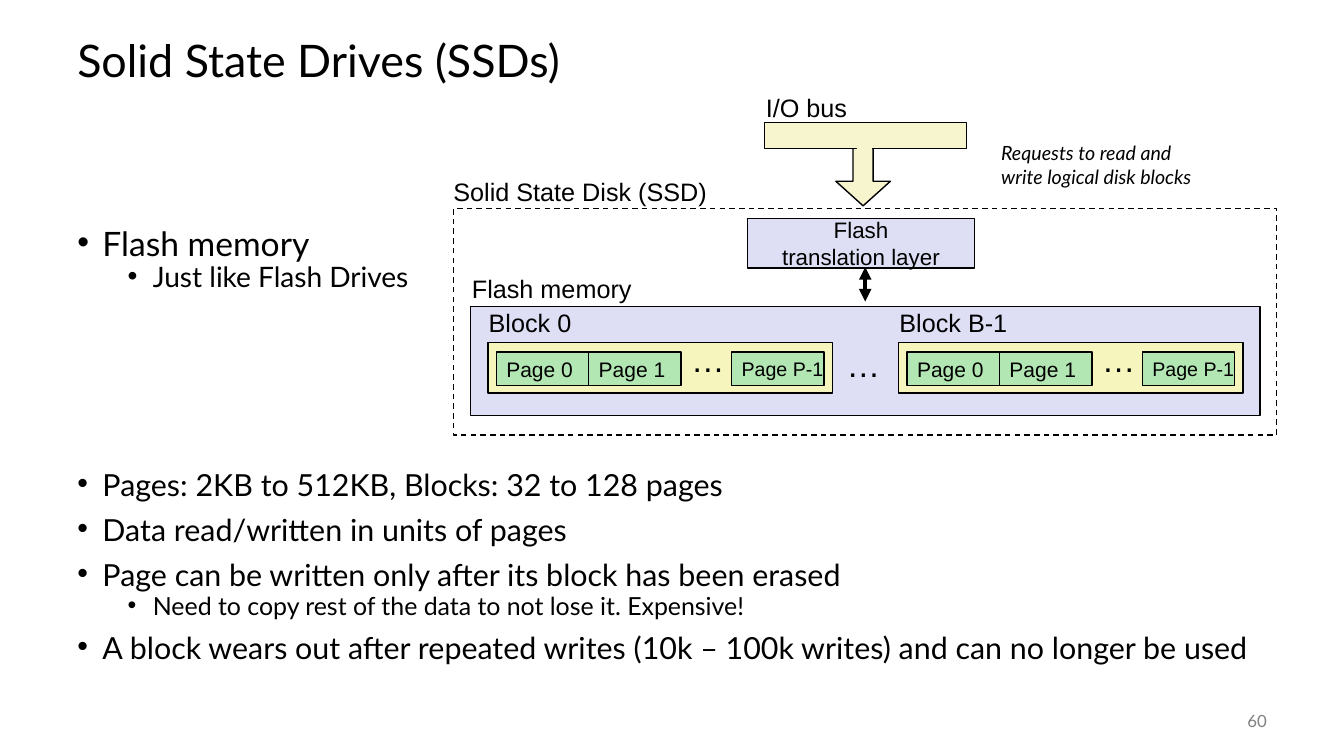
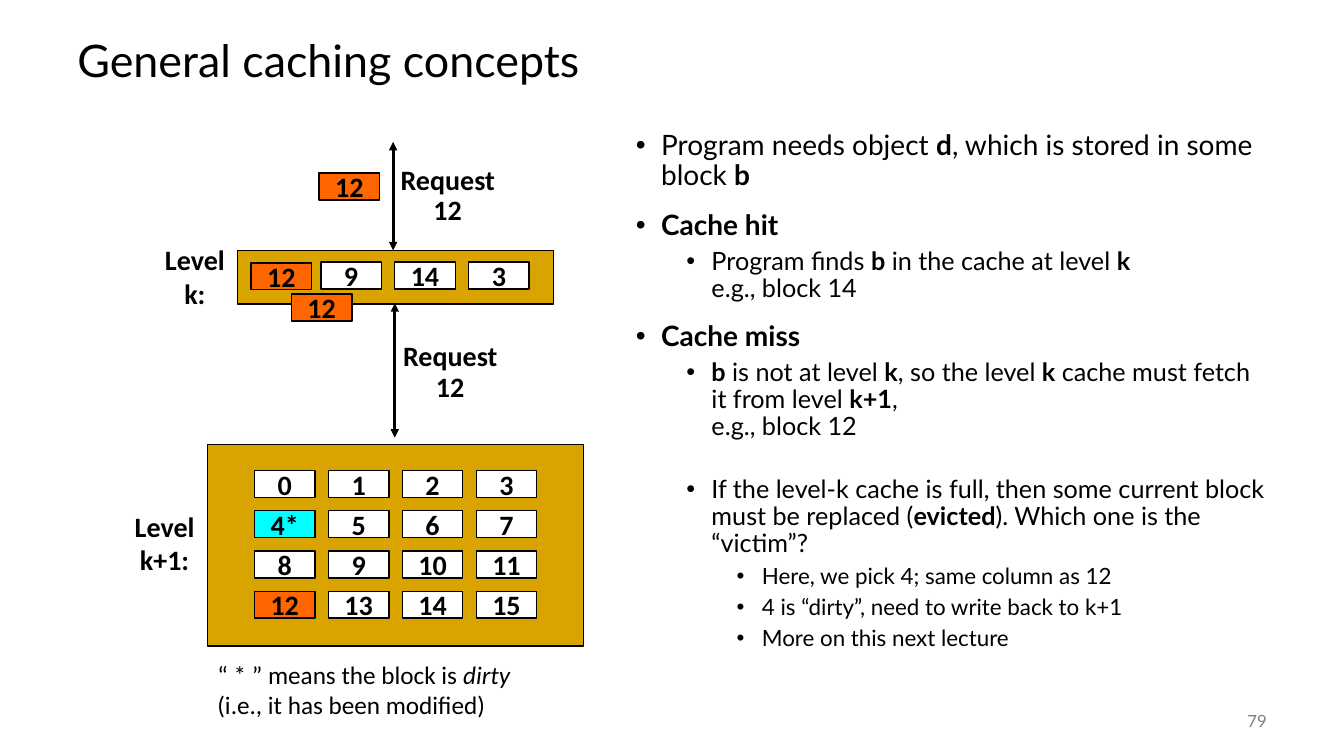
import pptx
import pptx.util
import pptx.dml.color
import pptx.enum.dml
import pptx.enum.shapes
import pptx.enum.text
import pptx.oxml.ns
import lxml.etree

RGBColor = pptx.dml.color.RGBColor
Shapes = pptx.enum.shapes.MSO_SHAPE
Align = pptx.enum.text.PP_ALIGN
Anchor = pptx.enum.text.MSO_ANCHOR
Pt = pptx.util.Pt

BLACK = RGBColor(0x00, 0x00, 0x00)
WHITE = RGBColor(0xFF, 0xFF, 0xFF)
GRAY = RGBColor(0x80, 0x80, 0x80)
LAVENDER = RGBColor(0xDE, 0xDF, 0xF5)
CREAM = RGBColor(0xF7, 0xF5, 0xCD)
YELLOW = RGBColor(0xF6, 0xF5, 0xBD)
GREEN = RGBColor(0xB2, 0xE6, 0xB2)
ORANGE = RGBColor(0xFF, 0x66, 0x00)
CYAN = RGBColor(0x00, 0xFF, 0xFF)
GOLD = RGBColor(0xD9, 0xA3, 0x00)

# The slide is a grid of 160 columns by 90 rows, each 1/12 inch.
COLUMNS, ROWS = 160, 90
SLIDE_WIDTH, SLIDE_HEIGHT = pptx.util.Inches(13.33), pptx.util.Inches(7.5)

TITLE_AREA = (8, 3, 144, 9)
NUMBER_AREA = (140, 83.4, 12, 4.8)
TILE_WIDTH, TILE_HEIGHT = 7.2, 3.2
TILE_PITCH_X, TILE_PITCH_Y = 8.8, 4.8

DIAGRAM = {"font": "Arial", "size": 18}
CACHE = {"font": "Calibri", "size": 20, "bold": True, "align": Align.CENTER}


def across(columns):
    return round(columns * SLIDE_WIDTH / COLUMNS)


def down(rows):
    return round(rows * SLIDE_HEIGHT / ROWS)


def grid_area(left, top, width, height):
    return across(left), down(top), across(width), down(height)


def add_element(parent, tag, **attributes):
    return lxml.etree.SubElement(parent, pptx.oxml.ns.qn(tag), attributes)


def write_paragraph(para, text, font="Lato", size=18, color=BLACK, bold=False,
                    italic=False, emphasis="bold", align=Align.LEFT, spacing=None):
    """Write one paragraph; parts between bars are emphasised, \\n breaks a line."""
    para.alignment = align
    if spacing:
        para.line_spacing = spacing
    for part_index, part in enumerate(text.split("|")):
        for line_index, line in enumerate(part.split("\n")):
            if line_index:
                para.add_line_break()
            if not line:
                continue
            span = para.add_run()
            span.text = line
            span.font.name = font
            span.font.size = Pt(size)
            span.font.color.rgb = color
            span.font.bold = bold
            span.font.italic = italic
            if part_index % 2:
                setattr(span.font, emphasis, True)


def next_paragraph(frame, index):
    return frame.add_paragraph() if index else frame.paragraphs[0]


def write_text(frame, lines, anchor=Anchor.TOP, wrap=False, inset=None, **text_format):
    frame.word_wrap = wrap
    frame.auto_size = pptx.enum.text.MSO_AUTO_SIZE.NONE
    frame.vertical_anchor = anchor
    if inset is not None:
        frame.margin_left = frame.margin_right = pptx.util.Inches(inset)
    for index, line in enumerate(lines):
        write_paragraph(next_paragraph(frame, index), line, **text_format)


def add_label(page, area, *lines, **text_format):
    box = page.shapes.add_textbox(*grid_area(*area))
    write_text(box.text_frame, lines, **text_format)


def add_box(page, area, fill=None, *lines, kind=Shapes.RECTANGLE, outline=True,
            dashed=False, **text_format):
    box = page.shapes.add_shape(kind, *grid_area(*area))
    box.shadow.inherit = False
    if fill is None:
        box.fill.background()
    else:
        box.fill.solid()
        box.fill.fore_color.rgb = fill
    if outline:
        box.line.color.rgb = BLACK
        box.line.width = Pt(1)
    else:
        box.line.fill.background()
    if dashed:
        box.line.dash_style = pptx.enum.dml.MSO_LINE.DASH
    if lines:
        write_text(box.text_frame, lines, anchor=Anchor.MIDDLE, **text_format)
    return box


def add_double_arrow(page, column, top, bottom, width):
    arrow = page.shapes.add_connector(
        pptx.enum.shapes.MSO_CONNECTOR.STRAIGHT,
        across(column), down(top), across(column), down(bottom))
    arrow.line.color.rgb = BLACK
    arrow.line.width = Pt(width)
    properties = arrow.element.spPr
    for end in ("a:headEnd", "a:tailEnd"):
        add_element(properties.find(pptx.oxml.ns.qn("a:ln")), end, type="triangle")
    add_element(properties, "a:effectLst")


def move(shape, area):
    shape.left, shape.top, shape.width, shape.height = grid_area(*area)


def add_page(deck, title, number):
    page = deck.slides.add_slide(deck.slide_layouts[1])
    move(page.shapes.title, TITLE_AREA)
    write_text(page.shapes.title.text_frame, [title], anchor=Anchor.MIDDLE,
               wrap=True, size=32, spacing=0.9)
    add_label(page, NUMBER_AREA, number, anchor=Anchor.MIDDLE, wrap=True,
              size=12, color=GRAY, align=Align.RIGHT)
    return page


def fill_body(page, area, bullets, spacing):
    """Fill the body with bullets given as level, size, space before and text."""
    body = page.placeholders[1]
    move(body, area)
    write_text(body.text_frame, [], wrap=True)
    for index, (level, size, before, text) in enumerate(bullets):
        para = next_paragraph(body.text_frame, index)
        para.level = level
        properties = para._p.get_or_add_pPr()
        properties.set("marL", str(pptx.util.Inches(0.25 + 0.5 * level)))
        properties.set("indent", str(pptx.util.Inches(-0.25)))
        add_element(properties, "a:buFont", typeface="Arial")
        add_element(properties, "a:buChar", char="•")
        para.space_before = Pt(before)
        write_paragraph(para, text, size=size, spacing=spacing)


def add_flash_block(page, left, name):
    add_box(page, (left, 40.8, 41, 6), YELLOW)
    for offset, page_name, size in ((1, "Page 0", 15), (12, "Page 1", 15),
                                    (29, "Page P-1", 14)):
        add_box(page, (left + offset, 41.9, 11, 4), GREEN, page_name,
                font="Arial", size=size)
    add_label(page, (left + 23, 39.8, 6.4, 6), "…", font="Arial", size=24)
    add_label(page, (left - 1.1, 36, 16, 4.8), name, **DIAGRAM)


def build_drive_page(deck):
    page = add_page(deck, "Solid State Drives (SSDs)", "60")
    fill_body(page, (8, 27.2, 148, 54), (
        (0, 24, 0, "Flash memory"),
        (1, 20.1, 5, "Just like Flash Drives"),
        (0, 21.7, 131, "Pages: 2KB to 512KB, Blocks: 32 to 128 pages"),
        (0, 21.7, 14, "Data read/written in units of pages"),
        (0, 21.7, 14, "Page can be written only after its block has been erased"),
        (1, 17.8, 5, "Need to copy rest of the data to not lose it. Expensive!"),
        (0, 21.7, 14, "A block wears out after repeated writes (10k – 100k writes) "
                      "and can no longer be used"),
    ), spacing=0.7)

    bus_arrow = add_box(page, (99.5, 15.5, 6.5, 9), CREAM, kind=Shapes.DOWN_ARROW)
    bus_arrow.adjustments[0] = 0.37
    bus_arrow.adjustments[1] = 0.45
    add_box(page, (91, 14.6, 24.1, 3.1), CREAM)
    add_box(page, (102, 16.7, 1.8, 2), CREAM, outline=False)
    add_label(page, (90, 10.4, 12.2, 4.8), "I/O bus", **DIAGRAM)
    add_label(page, (118, 16.2, 28, 6.8), "Requests to read and",
              "write logical disk blocks", wrap=True, size=14, italic=True)

    add_box(page, (54, 24.8, 98, 27), dashed=True)
    add_label(page, (52.8, 20.4, 33, 4.8), "Solid State Disk (SSD)", **DIAGRAM)
    add_box(page, (89, 26, 27, 5.9), LAVENDER, "Flash", "translation layer",
            font="Arial", size=16, align=Align.CENTER)
    add_double_arrow(page, 103, 31.8, 35.9, width=3)
    add_box(page, (56, 36.5, 94, 13), LAVENDER)
    add_label(page, (55, 32, 21.6, 4.8), "Flash memory", **DIAGRAM)
    add_flash_block(page, 58.1, "Block 0")
    add_label(page, (99.6, 40.4, 6.4, 6), "…", font="Arial", size=24)
    add_flash_block(page, 107, "Block B-1")


def add_tile(page, left, top, text, fill=WHITE):
    add_box(page, (left, top, TILE_WIDTH, TILE_HEIGHT), fill, text, **CACHE)


def build_cache_page(deck):
    page = add_page(deck, "General caching concepts", "79")
    fill_body(page, (74.5, 15, 77.4, 66), (
        (0, 20, 0, "Program needs object |d|, which is stored in some block |b|"),
        (0, 20, 14, "|Cache hit|"),
        (1, 18, 5, "Program finds |b| in the cache at level |k|\ne.g., block 14"),
        (0, 20, 14, "|Cache miss|"),
        (1, 18, 5, "|b| is not at level |k|, so the level |k| cache must fetch it "
                   "from level |k+1|,\ne.g., block 12"),
        (1, 18, 25, "If the level-k cache is full, then some current block must be "
                    "replaced (|evicted|). Which one is the “victim”?"),
        (2, 16, 5, "Here, we pick 4; same column as 12"),
        (2, 16, 5, "4 is “dirty”, need to write back to k+1"),
        (2, 16, 5, "More on this next lecture"),
    ), spacing=0.9)

    add_tile(page, 38, 20.6, "12", ORANGE)
    add_box(page, (28.3, 29.8, 37.6, 6.4), GOLD)
    for column, text in enumerate(("9", "14", "3")):
        add_tile(page, 38.2 + column * TILE_PITCH_X, 31.2, text)
    add_tile(page, 29.9, 31.3, "12", ORANGE)
    add_tile(page, 34.7, 35, "12", ORANGE)

    add_box(page, (24.7, 52.9, 44.8, 24), GOLD)
    marked = {4: ("4*", CYAN), 12: ("12", ORANGE)}
    for block in range(16):
        row, column = divmod(block, 4)
        text, fill = marked.get(block, (str(block), WHITE))
        add_tile(page, 30.3 + column * TILE_PITCH_X, 56 + row * TILE_PITCH_Y, text, fill)

    add_double_arrow(page, 46.8, 16.9, 29.8, width=2)
    add_double_arrow(page, 47, 36.1, 52.1, width=2)
    for left, top in ((47, 19.2), (47.3, 40.2)):
        add_label(page, (left, top, 12.6, 8.5), "Request", "12",
                  inset=0.05, spacing=0.9, **CACHE)
    for area, name in (((18.4, 28.3, 9.6, 9.2), "k:"), ((14.4, 60, 10.4, 9.2), "k+1:")):
        add_label(page, area, "Level", name, anchor=Anchor.MIDDLE, **CACHE)
    add_label(page, (24.7, 77.9, 40.5, 8.5),
              "“ * ” means the block is |dirty| (i.e., it has been modified)",
              wrap=True, font="Calibri", size=18, emphasis="italic")


def main():
    deck = pptx.Presentation()
    deck.slide_width, deck.slide_height = SLIDE_WIDTH, SLIDE_HEIGHT
    build_drive_page(deck)
    build_cache_page(deck)
    deck.save("out.pptx")


if __name__ == "__main__":
    main()
